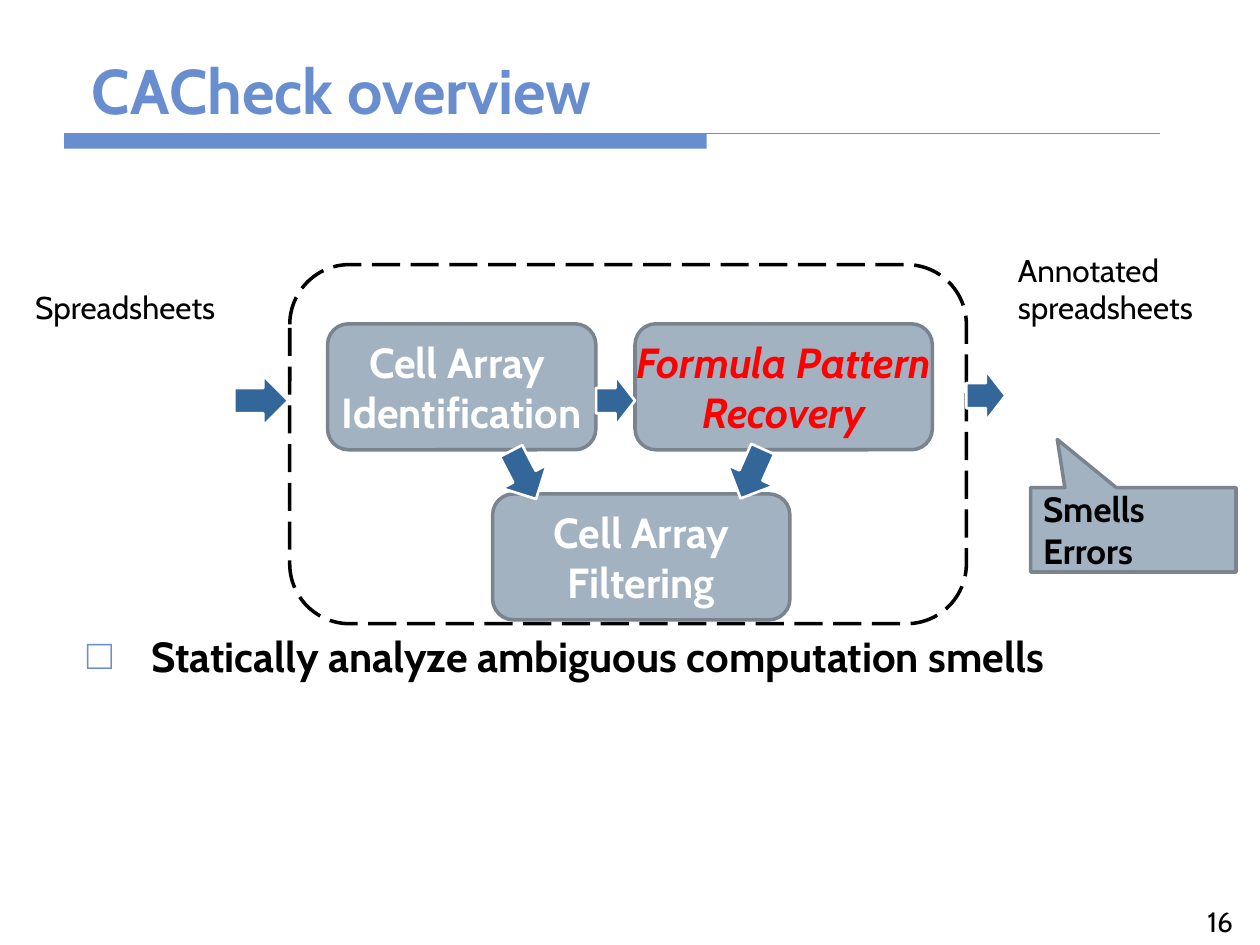
from lxml.etree import SubElement
from pptx import Presentation
from pptx.dml.color import RGBColor
from pptx.enum.dml import MSO_LINE
from pptx.enum.shapes import MSO_SHAPE as Shape
from pptx.enum.text import MSO_ANCHOR as Anchor, MSO_AUTO_SIZE as Fit, PP_ALIGN as Align
from pptx.oxml.ns import qn
from pptx.util import Inches, Pt

FONT = "Cabin"
BLUE = RGBColor(0x69, 0x8E, 0xCF)
NAVY = RGBColor(0x33, 0x66, 0x99)
GRAY = RGBColor(0xA3, 0xB2, 0xC1)
EDGE = RGBColor(0x79, 0x84, 0x8F)
RED = RGBColor(0xFF, 0, 0)
BLACK = RGBColor(0, 0, 0)
WHITE = RGBColor(0xFF, 0xFF, 0xFF)


def rect(x, y, w, h):
    return Inches(x), Inches(y), Inches(w), Inches(h)


def write(frame, lines, size, color=BLACK, bold=False, italic=False,
          align=Align.LEFT, anchor=Anchor.TOP, wrap=False):
    frame.word_wrap = wrap
    frame.auto_size = Fit.NONE
    frame.vertical_anchor = anchor
    frame.text = "\n".join(lines)
    for para in frame.paragraphs:
        para.alignment = align
        font = para.font
        font.name, font.size = FONT, Pt(size)
        font.bold, font.italic = bold, italic
        font.color.rgb = color


def draw(slide, kind, box, fill, line, width):
    shape = slide.shapes.add_shape(kind, *rect(*box))
    shape.shadow.inherit = False
    if fill is None:
        shape.fill.background()
    else:
        shape.fill.solid()
        shape.fill.fore_color.rgb = fill
    shape.line.color.rgb = line
    shape.line.width = Pt(width)
    return shape


def label(slide, box, lines, size=18, align=Align.LEFT):
    text = slide.shapes.add_textbox(*rect(*box))
    write(text.text_frame, lines, size, align=align)


def step(slide, box, lines, color=WHITE, italic=False):
    shape = draw(slide, Shape.ROUNDED_RECTANGLE, box, GRAY, EDGE, 2)
    write(shape.text_frame, lines, 24, color, True, italic, Align.CENTER, Anchor.MIDDLE)


def arrow(slide, x, y, w=0.43, turn=0):
    shape = draw(slide, Shape.RIGHT_ARROW, (x, y, w, 0.4), NAVY, WHITE, 1.5)
    shape.rotation = turn


def header(slide, x, y, w):
    """Title above a thick bar that runs on as a thin line."""
    bar = slide.shapes.add_shape(Shape.RECTANGLE, *rect(x, y, 5.1, 0.12))
    bar.shadow.inherit = False
    bar.fill.solid()
    bar.fill.fore_color.rgb = BLUE
    bar.line.fill.background()
    rule = slide.shapes.add_connector(1, Inches(x), Inches(y), Inches(x + w), Inches(y))
    rule.line.color.rgb = BLUE
    rule.line.width = Pt(0.75)
    SubElement(rule._element.spPr, qn("a:effectLst"))
    title = slide.shapes.title
    title.left, title.top, title.width, title.height = rect(x + 0.12, y - 0.73, 8.75, 0.73)
    write(title.text_frame, ["CACheck overview"], 36, BLUE, True,
          anchor=Anchor.BOTTOM, wrap=True)


def points(slide, box):
    body = slide.placeholders[1]
    body.left, body.top, body.width, body.height = rect(*box)
    frame = body.text_frame
    frame.text = "Statically analyze ambiguous computation smells"
    para = frame.paragraphs[0]
    para.space_before = Pt(0)
    props = para._p.get_or_add_pPr()
    props.set("marL", str(Inches(0.51)))
    props.set("indent", str(-Inches(0.51)))
    tint = SubElement(props, qn("a:buClr"))
    SubElement(tint, qn("a:srgbClr"), val=str(BLUE))
    SubElement(props, qn("a:buChar"), char="□")
    frame.word_wrap = True
    frame.auto_size = Fit.NONE
    font = para.font
    font.name, font.size, font.bold = FONT, Pt(24), True
    font.color.rgb = BLACK


def flow(slide, x, y, w, h):
    """Three steps in a dashed frame, with arrows between and into them."""
    top = y + 0.47
    mid = top + 0.41
    step(slide, (x + 0.3, top, 2.13, 1), ["Cell Array ", "Identification"])
    step(slide, (x + 2.74, top, 2.36, 1), ["Formula Pattern", "Recovery"], RED, True)
    arrow(slide, x - 0.44, mid)
    arrow(slide, x + 2.43, mid, 0.31)
    frame = draw(slide, Shape.ROUNDED_RECTANGLE, (x, y, w, h), None, BLACK, 2)
    frame.line.dash_style = MSO_LINE.LONG_DASH
    step(slide, (x + 1.61, y + 1.82, 2.36, 1), ["Cell Array", "Filtering"])
    arrow(slide, x + 1.64, top + 1, turn=62.5)
    arrow(slide, x + 3.45, top + 0.99, turn=114.1)


def result(slide, x, y):
    """Arrow out of the frame, its output and a callout."""
    arrow(slide, x, y + 1, 0.31)
    label(slide, (x + 0.31, y, 1.65, 0.71), ["Annotated", "spreadsheets"])
    note = draw(slide, Shape.RECTANGULAR_CALLOUT, (x + 0.51, y + 1.93, 1.63, 0.67),
                GRAY, EDGE, 2)
    note.adjustments[0], note.adjustments[1] = -0.37, -1.07
    write(note.text_frame, ["Smells", "Errors"], 20, bold=True, anchor=Anchor.MIDDLE)


def main():
    deck = Presentation()
    deck.slide_width, deck.slide_height = Inches(10), Inches(7.5)
    slide = deck.slides.add_slide(deck.slide_layouts[1])
    header(slide, 0.51, 1.06, 8.7)
    points(slide, (0.59, 4.95, 8.75, 2.24))
    label(slide, (0.18, 2.24, 1.68, 0.4), ["Spreadsheets"])
    flow(slide, 2.3, 2.1, 5.37, 2.85)
    result(slide, 7.67, 1.94)
    label(slide, (9.37, 7.13, 0.63, 0.35), ["16"], 16, Align.CENTER)
    deck.save("out.pptx")


if __name__ == "__main__":
    main()
